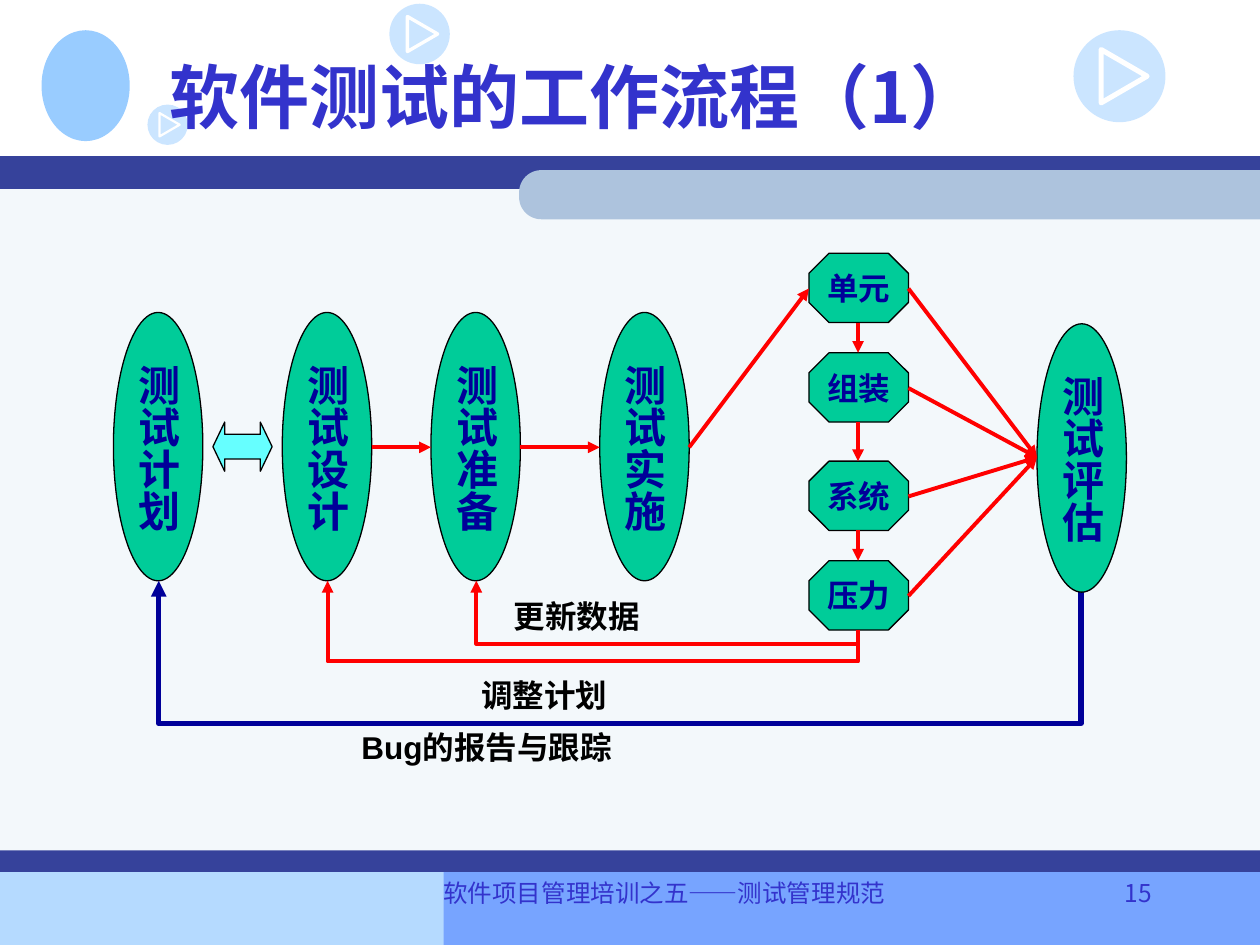
from lxml import etree
from pptx import Presentation, util as u
from pptx.dml.color import RGBColor
from pptx.enum import shapes, text
from pptx.oxml.ns import qn

SHAPE = shapes.MSO_SHAPE
CENTER, RIGHT = text.PP_ALIGN.CENTER, text.PP_ALIGN.RIGHT
BLUE, NAVY, RED, GREEN = "3333CC", "000099", "FF0000", "00CC99"
BODY_FONT, TITLE_FONT, FOOTER_FONT = "Arial", "Noto Sans CJK SC", "Noto Sans CJK KR"


def color(value):
    return RGBColor.from_string(value)


def add_xml(parent, tag, **attributes):
    return etree.SubElement(parent, qn(tag), attributes)


class FlowSlide:
    """Holds the slide and the style shared by its elements."""

    def __init__(self, slide):
        self.slide = slide

    def shape(self, kind, left, top, width, height, fill=None, line=None, weight=0.75):
        shape = self.slide.shapes.add_shape(kind, *map(u.Inches, (left, top, width, height)))
        return self.paint(shape, fill, line, weight)

    def paint(self, shape, fill, line, weight):
        shape.shadow.inherit = False
        if fill:
            shape.fill.solid()
            shape.fill.fore_color.rgb = color(fill)
        else:
            shape.fill.background()
        if line:
            shape.line.color.rgb = color(line)
            shape.line.width = u.Pt(weight)
        else:
            shape.line.fill.background()
        return shape

    def add_words(self, shape, words, size, ink, font=BODY_FONT, bold=True, align=None,
                  anchor=text.MSO_ANCHOR.TOP, wrap=False):
        frame = shape.text_frame
        frame.word_wrap = wrap
        frame.vertical_anchor = anchor
        paragraph = frame.paragraphs[0]
        paragraph.alignment = align
        run = paragraph.add_run()
        run.text = words
        run.font.name, run.font.size, run.font.bold = font, u.Pt(size), bold
        run.font.color.rgb = color(ink)
        if font != BODY_FONT:
            add_xml(run.font._element, "a:ea", typeface=font)
        return frame

    def label(self, words, left, top, width, height, size=18, ink="000000", **style):
        box = self.slide.shapes.add_textbox(*map(u.Inches, (left, top, width, height)))
        self.add_words(box, words, size, ink, **style)

    def stage(self, words, left, top):
        """Ellipse with its text running downwards."""
        ellipse = self.shape(SHAPE.OVAL, left, top, 0.71, 2.13, GREEN, "000000")
        frame = self.add_words(ellipse, words, 24, NAVY, align=CENTER,
                               anchor=text.MSO_ANCHOR.MIDDLE)
        frame.margin_left = frame.margin_right = u.Inches(0.05)
        frame.margin_top = frame.margin_bottom = u.Inches(0.1)
        frame._txBody.bodyPr.set("vert", "eaVert")

    def level(self, words, left, top):
        octagon = self.shape(SHAPE.OCTAGON, left, top, 0.79, 0.55, GREEN, "000000")
        octagon.adjustments[0] = 0.29
        self.add_words(octagon, words, 18, NAVY, align=CENTER, anchor=text.MSO_ANCHOR.MIDDLE)

    def arrow(self, start, end, ink=RED, weight=2.25, kind=shapes.MSO_CONNECTOR.STRAIGHT):
        connector = self.slide.shapes.add_connector(kind, *map(u.Inches, (*start, *end)))
        connector.line.color.rgb = color(ink)
        connector.line.width = u.Pt(weight)
        add_xml(connector.line._get_or_add_ln(), "a:tailEnd", type="triangle")
        add_xml(connector._element.spPr, "a:effectLst")
        return connector

    def feedback(self, start, end, floor, ink=RED, weight=2.25):
        """Elbow arrow that drops to floor, runs left and rises to end."""
        connector = self.arrow(start, end, ink, weight, shapes.MSO_CONNECTOR.ELBOW)
        (x1, y1), (x2, y2) = start, end
        width, height = y1 - y2, x1 - x2
        connector.left = u.Inches((x1 + x2 - width) / 2)
        connector.top = u.Inches((y1 + y2 - height) / 2)
        connector.width, connector.height = u.Inches(width), u.Inches(height)
        properties = connector._element.spPr
        transform = properties.find(qn("a:xfrm"))
        transform.attrib.pop("flipH", None)
        transform.set("flipV", "1")
        transform.set("rot", str(270 * 60000))
        guides = properties.find(qn("a:prstGeom")).find(qn("a:avLst"))
        bend = round((y1 - floor) / width * 100000)
        add_xml(guides, "a:gd", name="adj1", fmla=f"val {bend}")

    def play_disc(self, left, top, size):
        """Half transparent disc with a white triangle outline."""
        disc = self.shape(SHAPE.OVAL, left, top, size, size, "99CCFF")
        tint = disc._element.spPr.find(qn("a:solidFill"))[0]
        add_xml(tint, "a:alpha", val="50000")
        corners = [(u.Inches(left + size * x), u.Inches(top + size * y))
                   for x, y in ((0.3, 0.21), (0.8, 0.5), (0.3, 0.79))]
        builder = self.slide.shapes.build_freeform(*corners[0])
        builder.add_line_segments(corners[1:], close=True)
        self.paint(builder.convert_to_shape(), None, "FFFFFF", size * 4)


def draw_background(page):
    for left, top, width, height, fill in (
            (0, 6.92, 4.25, 0.58, "B5DAFF"), (3.52, 6.91, 6.48, 0.59, "77A4FF"),
            (0, 1.4, 10, 5.51, "F3F8FB"), (0, 1.24, 10, 0.26, "36429B")):
        page.shape(SHAPE.RECTANGLE, left, top, width, height, fill)
    length, thickness, left, top = 5.88, 0.39, 4.12, 1.35
    tab = page.shape(SHAPE.ROUND_2_SAME_RECTANGLE, left + (length - thickness) / 2,
                     top - (length - thickness) / 2, thickness, length, "ADC3DD")
    tab.rotation = 270
    tab.adjustments[0] = 0.45
    page.shape(SHAPE.OVAL, 0.33, 0.24, 0.7, 0.88, "99CCFF")
    page.play_disc(3.09, 0.03, 0.48)
    page.play_disc(8.52, 0.24, 0.73)
    page.shape(SHAPE.RECTANGLE, 0, 6.75, 10, 0.17, "36429B")
    page.play_disc(1.17, 0.83, 0.32)


def draw_flow(page):
    stage_lefts = (0.9, 2.24, 3.42, 4.76)
    stage_top, stage_bottom, stage_middle = 2.48, 4.61, 3.55
    for words, left in zip(("测试计划", "测试设计", "测试准备", "测试实施"), stage_lefts):
        page.stage(words, left, stage_top)
    plan, design, prepare = [left + 0.36 for left in stage_lefts[:3]]

    level_left, level_right, level_center = 6.42, 7.21, 6.81
    level_tops = (2.01, 2.8, 3.66, 4.45)
    for words, top in zip(("单元", "组装", "系统", "压力"), level_tops):
        page.level(words, level_left, top)

    exchange = page.shape(SHAPE.LEFT_RIGHT_ARROW, 1.69, 3.35, 0.47, 0.39, "66FFFF", "000000")
    exchange.adjustments[1] = 0.24

    for left, following in zip(stage_lefts[1:], stage_lefts[2:]):
        page.arrow((left + 0.71, stage_middle), (following, stage_middle))
    page.arrow((stage_lefts[-1] + 0.71, stage_middle), (level_left, level_tops[0] + 0.28))
    for top, following in zip(level_tops, level_tops[1:]):
        page.arrow((level_center, top + 0.55), (level_center, following))

    page.feedback((level_center, 5), (design, stage_bottom), 5.25)
    page.feedback((level_center, 5), (prepare, stage_bottom), 5.11)
    page.feedback((8.58, 4.7), (plan, stage_bottom), 5.74, NAVY, 3)

    page.stage("测试评估", 8.23, 2.57)
    for top in level_tops:
        page.arrow((level_right, top + 0.28), (8.23, 3.63))

    page.label("更新数据", 3.98, 4.69, 1.2, 0.4)
    page.label("Bug的报告与跟踪", 2.77, 5.73, 2.24, 0.4)
    page.label("调整计划", 3.72, 5.32, 1.2, 0.4)


def main():
    presentation = Presentation()
    presentation.slide_width, presentation.slide_height = u.Inches(10), u.Inches(7.5)
    page = FlowSlide(presentation.slides.add_slide(presentation.slide_layouts[6]))
    draw_background(page)
    page.label("软件测试的工作流程（1）", 1.25, 0.17, 8.5, 1.17, 40, BLUE, font=TITLE_FONT,
               anchor=text.MSO_ANCHOR.MIDDLE, wrap=True)
    draw_flow(page)
    footer = dict(size=14, ink=BLUE, font=FOOTER_FONT, bold=False, wrap=True)
    page.label("软件项目管理培训之五——测试管理规范", 3.42, 6.92, 5.05, 0.5, **footer)
    page.label("15", 8.46, 6.92, 0.78, 0.5, align=RIGHT, **footer)
    presentation.save("out.pptx")


if __name__ == "__main__":
    main()
